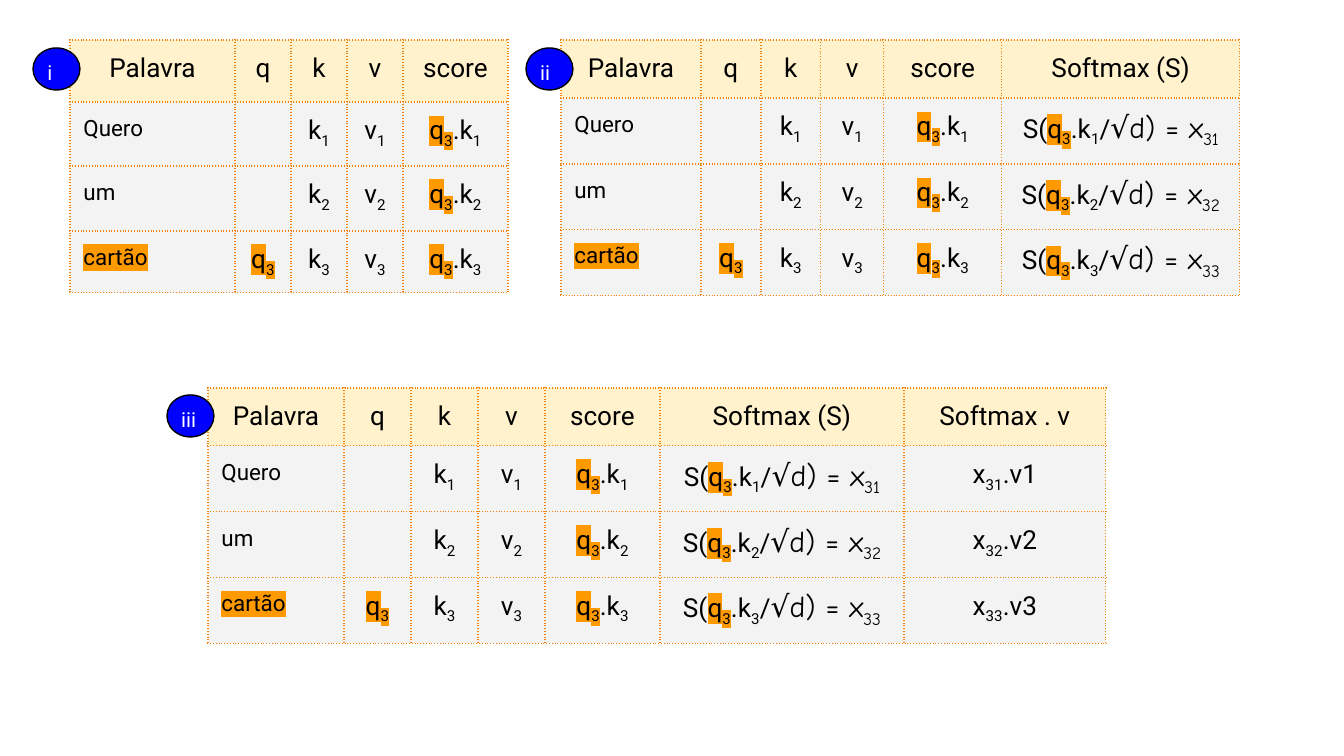
from lxml import etree
from pptx import Presentation
from pptx import util as u
from pptx.dml.color import RGBColor
from pptx.enum import shapes, text
from pptx.oxml import ns

PX = 914400 / 134.4
C = {"head": "FFF2CC", "body": "F3F3F3", "border": "F48208", "mark": "FF9900",
     "badge": "0000FF", "black": "000000", "white": "FFFFFF"}


def px(*values):
    return [u.Emu(round(v * PX)) for v in values]


def add_runs(p, markup, size, color="black"):
    """Runs are split by |; leading * highlights, _ lowers, ~ is math type."""
    for part in markup.split("|"):
        content = part.lstrip("*_~")
        flags = part[:len(part) - len(content)]
        r = p.add_run()
        r.text = content
        r.font.size = u.Pt(16 if "~" in flags else size)
        r.font.color.rgb = RGBColor.from_string(C[color])
        rPr = r._r.get_or_add_rPr()
        if "_" in flags:
            rPr.set("baseline", "-25000")
        if "*" in flags:
            mark = etree.SubElement(rPr, ns.qn("a:highlight"))
            etree.SubElement(mark, ns.qn("a:srgbClr"), val=C["mark"])
        r.font.name = "Comic Neue" if "~" in flags else "Roboto"


prs = Presentation()
prs.slide_width, prs.slide_height = px(1344, 756)
s = prs.slides.add_slide(prs.slide_layouts[6])

# Full set of attention columns; each step shows the first few
rows = [["Palavra", "q", "k", "v", "score", "Softmax (S)", "Softmax . v"]]
for n, word in enumerate(["Quero", "um", "*cartão"], 1):
    rows.append([word, "*q|*_3" if n == 3 else "", f"k|_{n}", f"v|_{n}",
                 f"*q|*_3|.k|_{n}",
                 f"S(|*q|*_3|.k|_{n}|/|~√d) = x|~_3{n}",
                 f"x|_3{n}|.v{n}"])

# Step: left, top, column widths, row heights
steps = [
    (70, 40, [165, 56, 56, 56, 105], [62, 64, 65, 62]),
    (561, 40, [140, 60, 60, 63, 118, 238], [58, 66, 65, 66]),
    (208, 388, [136, 67, 67, 67, 115, 244, 202], [57, 66, 65, 66]),
]

# Tables
for left, top, widths, heights in steps:
    frame = s.shapes.add_table(len(heights), len(widths),
                               *px(left, top, sum(widths), sum(heights)))
    table = frame.table
    table.first_row = table.horz_banding = False
    for col, w in zip(table.columns, px(*widths)):
        col.width = w
    for row, h in zip(table.rows, px(*heights)):
        row.height = h
    for i, row in enumerate(rows):
        for j, markup in enumerate(row[:len(widths)]):
            cell = table.cell(i, j)
            cell.margin_left = cell.margin_right = u.Inches(0.1)
            cell.margin_top = cell.margin_bottom = u.Inches(0.1)
            cell.fill.solid()
            cell.fill.fore_color.rgb = RGBColor.from_string(C["body" if i else "head"])
            p = cell.text_frame.paragraphs[0]
            is_word = i > 0 and j == 0
            if not is_word:
                p.alignment = text.PP_ALIGN.CENTER
            if markup:
                add_runs(p, markup, 12 if is_word else 14)
            else:
                etree.SubElement(p._p, ns.qn("a:endParaRPr"), sz="1400")
            # Dotted cell borders
            tcPr = cell._tc.get_or_add_tcPr()
            for k, side in enumerate(["lnL", "lnR", "lnT", "lnB"]):
                ln = etree.Element(ns.qn("a:" + side), w=str(u.Pt(0.75)))
                fill = etree.SubElement(ln, ns.qn("a:solidFill"))
                etree.SubElement(fill, ns.qn("a:srgbClr"), val=C["border"])
                etree.SubElement(ln, ns.qn("a:prstDash"), val="dot")
                tcPr.insert(k, ln)

# Step badges
for label, left, top in [("i", 33, 48), ("iii", 167, 395), ("ii", 526, 48)]:
    badge = s.shapes.add_shape(shapes.MSO_SHAPE.OVAL, *px(left, top, 47, 42))
    badge.shadow.inherit = False
    badge.fill.solid()
    badge.fill.fore_color.rgb = RGBColor.from_string(C["badge"])
    badge.line.color.rgb = RGBColor.from_string(C["black"])
    badge.line.width = u.Pt(0.75)
    tf = s.shapes.add_textbox(*px(left + 1, top, 59, 34)).text_frame
    tf.word_wrap = True
    tf.margin_left = tf.margin_right = u.Inches(0.1)
    tf.margin_top = tf.margin_bottom = u.Inches(0.1)
    add_runs(tf.paragraphs[0], label, 11, "white")

prs.save("out.pptx")
